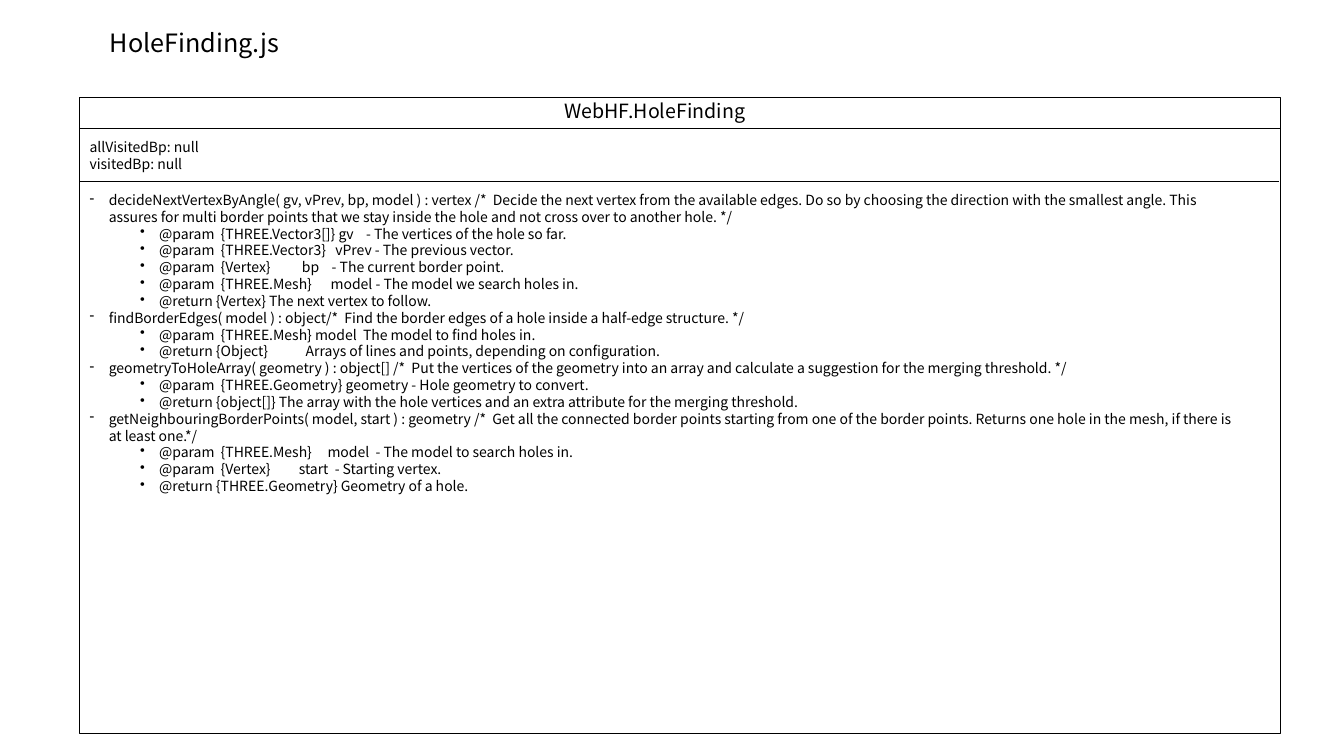
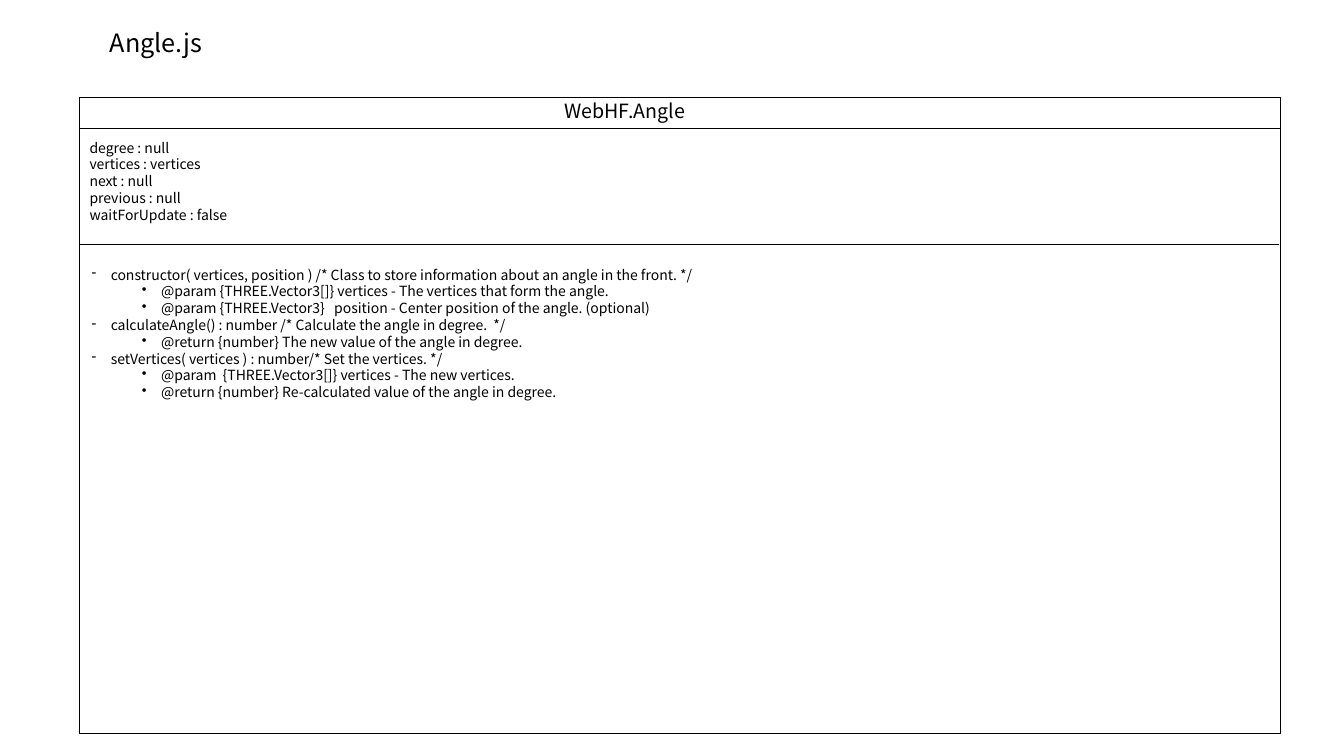
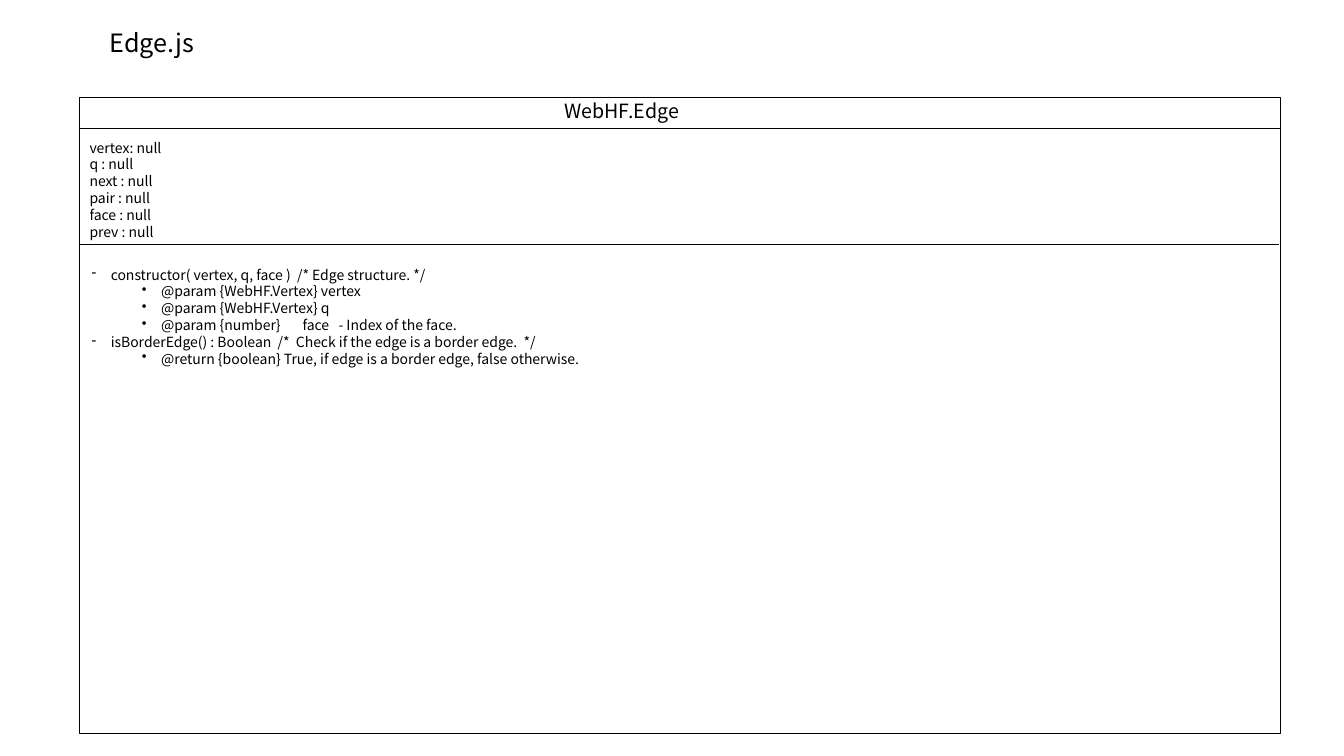
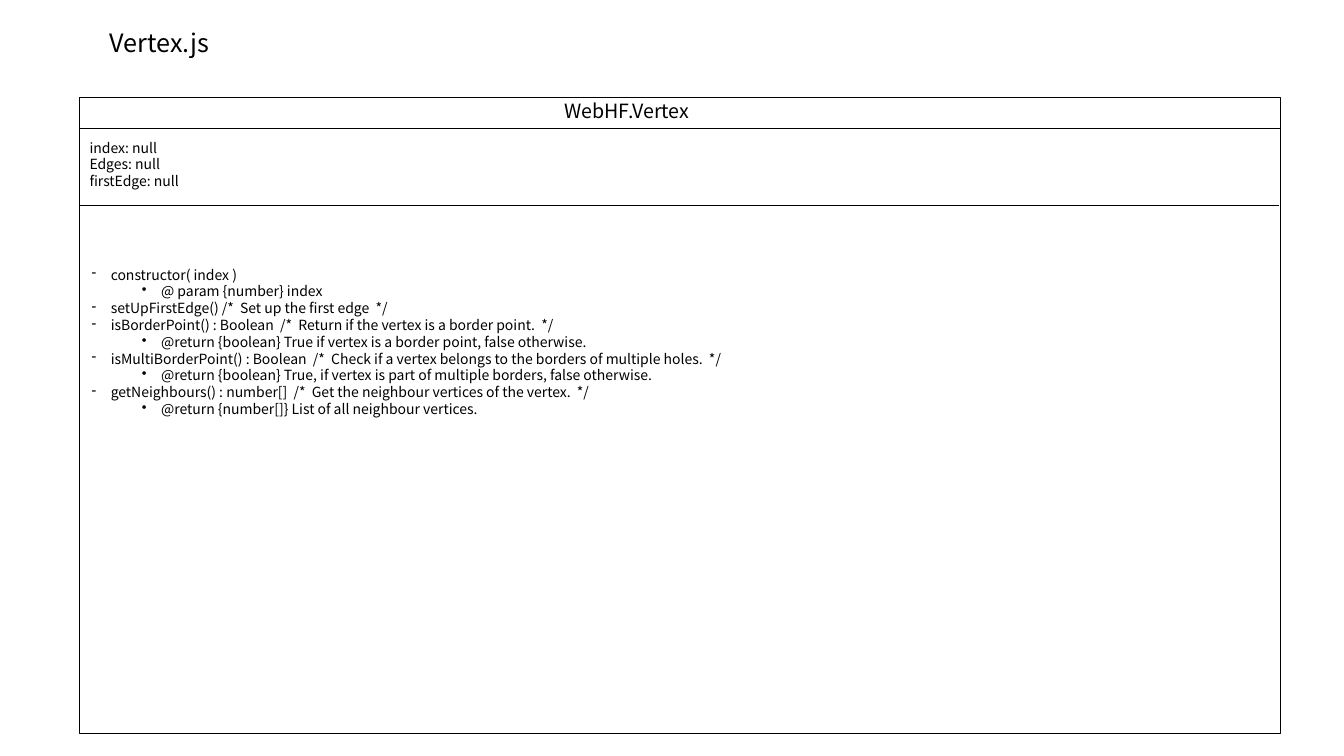
from lxml.etree import SubElement
from pptx import Presentation
from pptx.dml.color import RGBColor
from pptx.enum.shapes import MSO_CONNECTOR, MSO_SHAPE
from pptx.enum.text import MSO_AUTO_SIZE
from pptx.oxml.ns import qn
from pptx.util import Inches, Pt

# Shared style
COLORS = {"ink": "000000", "paper": "FFFFFF"}
FONT = "Noto Sans CJK KR"
INK = RGBColor.from_string(COLORS["ink"])
LEFT, RIGHT, TOP, BOTTOM = 0.79, 12.7, 0.97, 7.28
NAME_RULE = 1.27
BULLETS = [("-", 0.19), ("•", 0.69)]
HANGING = 0.19


def text_height(line_count):
    return 0.1 + 0.17 * line_count


def add_text(page, lines, left, top, width, height, size=10, wrap=False, bullets=False):
    """Write one paragraph per line; a leading tab marks the second bullet level."""
    box = page.shapes.add_textbox(Inches(left), Inches(top), Inches(width), Inches(height))
    frame = box.text_frame
    frame.word_wrap = wrap
    frame.auto_size = MSO_AUTO_SIZE.SHAPE_TO_FIT_TEXT
    for number, line in enumerate(lines):
        para = frame.add_paragraph() if number else frame.paragraphs[0]
        span = para.add_run()
        span.text = line.lstrip("\t")
        span.font.size = Pt(size)
        span.font.name = FONT
        span.font.color.rgb = INK
        if bullets:
            para.level = int(line.startswith("\t"))
            mark, indent = BULLETS[para.level]
            properties = para._p.get_or_add_pPr()
            properties.set("marL", str(Inches(indent)))
            properties.set("indent", str(-Inches(HANGING)))
            SubElement(properties, qn("a:buChar")).set("char", mark)


# Classes: one slide each
classes = [
    {
        "name": "HoleFinding", "name_width": 2.2,
        "attributes": ["allVisitedBp: null", "visitedBp: null"],
        "attributes_width": 1.36, "rule": 1.8,
        "methods_at": (0.79, 1.85),
        "methods": [
            "decideNextVertexByAngle( gv, vPrev, bp, model ) : vertex /*  Decide the next vertex "
            "from the available edges. Do so by choosing the direction with the smallest angle. "
            "This assures for multi border points that we stay inside the hole and not cross over "
            "to another hole. */",
            "\t@param  {THREE.Vector3[]} gv    - The vertices of the hole so far.",
            "\t@param  {THREE.Vector3}   vPrev - The previous vector.",
            "\t@param  {Vertex}          bp    - The current border point.",
            "\t@param  {THREE.Mesh}      model - The model we search holes in.",
            "\t@return {Vertex} The next vertex to follow.",
            "findBorderEdges( model ) : object/*  Find the border edges of a hole inside a "
            "half-edge structure. */",
            "\t@param  {THREE.Mesh} model  The model to find holes in.",
            "\t@return {Object}            Arrays of lines and points, depending on configuration.",
            "geometryToHoleArray( geometry ) : object[] /*  Put the vertices of the geometry into "
            "an array and calculate a suggestion for the merging threshold. */",
            "\t@param  {THREE.Geometry} geometry - Hole geometry to convert.",
            "\t@return {object[]} The array with the hole vertices and an extra attribute for the "
            "merging threshold.",
            "getNeighbouringBorderPoints( model, start ) : geometry /*  Get all the connected "
            "border points starting from one of the border points. Returns one hole in the mesh, "
            "if there is at least one.*/",
            "\t@param  {THREE.Mesh}     model  - The model to search holes in.",
            "\t@param  {Vertex}         start  - Starting vertex.",
            "\t@return {THREE.Geometry} Geometry of a hole.",
        ],
    },
    {
        "name": "Angle", "name_width": 1.58,
        "attributes": ["degree : null", "vertices : vertices", "next : null", "previous : null",
                       "waitForUpdate : false"],
        "attributes_width": 1.7, "rule": 2.42,
        "methods_at": (0.81, 2.59),
        "methods": [
            "constructor( vertices, position ) /* Class to store information about an angle in "
            "the front. */",
            "\t@param {THREE.Vector3[]} vertices - The vertices that form the angle.",
            "\t@param {THREE.Vector3}   position - Center position of the angle. (optional)",
            "calculateAngle() : number /* Calculate the angle in degree.  */",
            "\t@return {number} The new value of the angle in degree.",
            "setVertices( vertices ) : number/* Set the vertices. */",
            "\t@param  {THREE.Vector3[]} vertices - The new vertices.",
            "\t@return {number} Re-calculated value of the angle in degree.",
        ],
    },
    {
        "name": "Edge", "name_width": 1.51,
        "attributes": ["vertex: null", "q : null", "next : null", "pair : null", "face : null",
                       "prev : null"],
        "attributes_width": 0.97, "rule": 2.42,
        "methods_at": (0.81, 2.59),
        "methods": [
            "constructor( vertex, q, face )  /* Edge structure. */",
            "\t@param {WebHF.Vertex} vertex",
            "\t@param {WebHF.Vertex} q",
            "\t@param {number}       face   - Index of the face.",
            "isBorderEdge() : Boolean  /*  Check if the edge is a border edge.  */",
            "\t@return {boolean} True, if edge is a border edge, false otherwise.",
        ],
    },
    {
        "name": "Vertex", "name_width": 1.68,
        "attributes": ["index: null", "Edges: null", "firstEdge: null"],
        "attributes_width": 1.17, "rule": 2.04,
        "methods_at": (0.81, 2.59),
        "methods": [
            "constructor( index )",
            "\t@ param {number} index",
            "setUpFirstEdge() /*  Set up the first edge  */",
            "isBorderPoint() : Boolean  /*  Return if the vertex is a border point.  */",
            "\t@return {boolean} True if vertex is a border point, false otherwise.",
            "isMultiBorderPoint() : Boolean  /*  Check if a vertex belongs to the borders of "
            "multiple holes.  */",
            "\t@return {boolean} True, if vertex is part of multiple borders, false otherwise.",
            "getNeighbours() : number[]  /*  Get the neighbour vertices of the vertex.  */",
            "\t@return {number[]} List of all neighbour vertices.",
        ],
    },
]

deck = Presentation()
deck.slide_width, deck.slide_height = Inches(13.33), Inches(7.5)
background = deck.slide_master.background.fill
background.solid()
background.fore_color.rgb = RGBColor.from_string(COLORS["paper"])

for entry in classes:
    page = deck.slides.add_slide(deck.slide_layouts[6])

    # File name as title
    add_text(page, [entry["name"] + ".js"], 0.99, 0.22, 12.09, 0.4, size=18, wrap=True)

    # Class frame and its two dividing rules
    frame_box = page.shapes.add_shape(MSO_SHAPE.RECTANGLE, Inches(LEFT), Inches(TOP),
                                      Inches(RIGHT - LEFT), Inches(BOTTOM - TOP))
    frame_box.shadow.inherit = False
    frame_box.fill.background()
    frame_box.line.color.rgb = INK
    frame_box.line.width = Pt(0.5)
    for height, end in [(NAME_RULE, RIGHT), (entry["rule"], RIGHT - 0.01)]:
        rule = page.shapes.add_connector(MSO_CONNECTOR.STRAIGHT, Inches(LEFT), Inches(height),
                                         Inches(end), Inches(height))
        rule.line.color.rgb = INK
        rule.line.width = Pt(0.5)
        SubElement(rule._element.spPr, qn("a:effectLst"))

    # Class name, attributes and methods
    add_text(page, ["WebHF." + entry["name"]], 5.5, 0.93, entry["name_width"], 0.34, size=14)
    add_text(page, entry["attributes"], LEFT, 1.33, entry["attributes_width"],
             text_height(len(entry["attributes"])))
    add_text(page, entry["methods"], *entry["methods_at"], 11.61,
             text_height(len(entry["methods"])), wrap=True, bullets=True)

deck.save("out.pptx")
